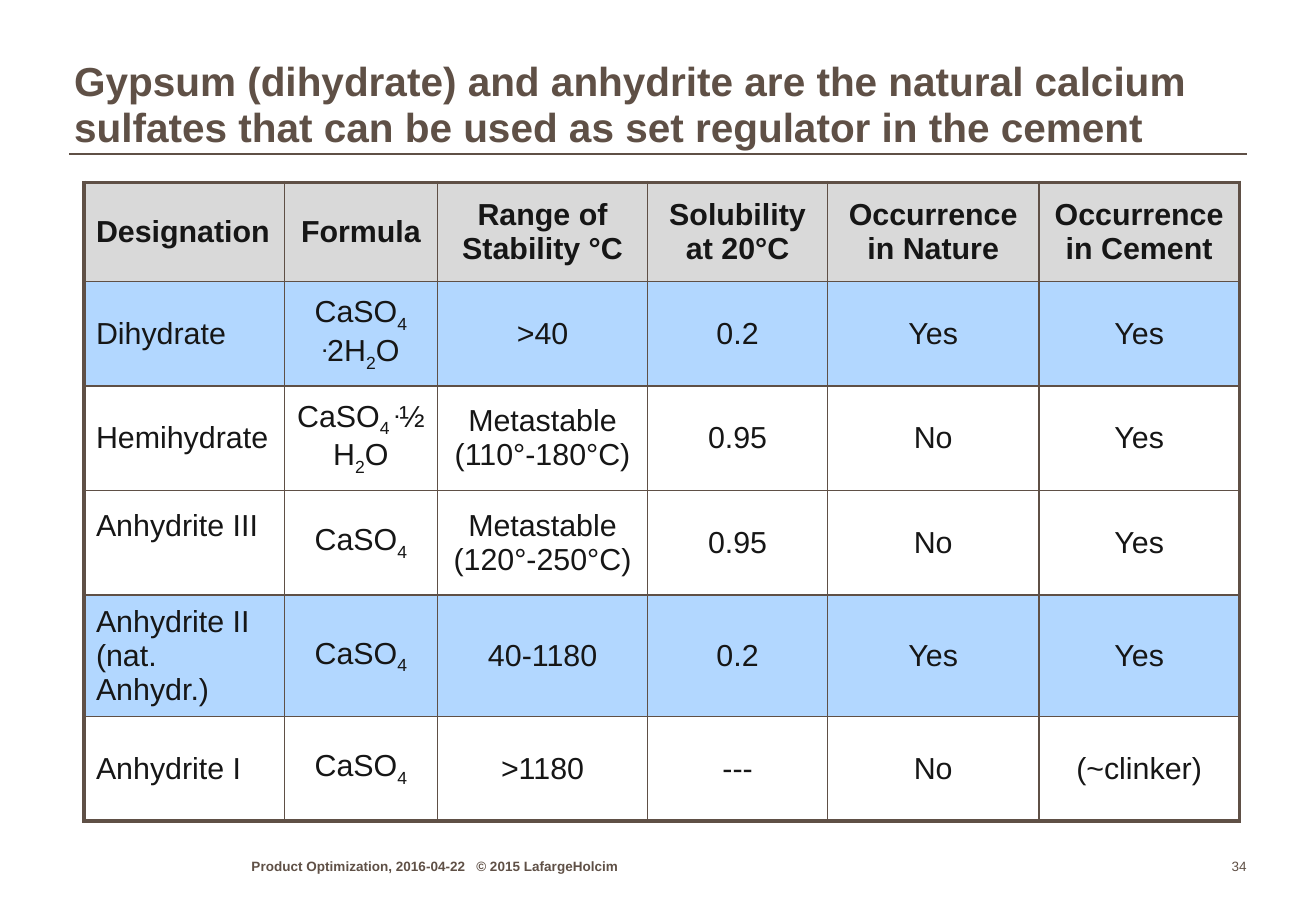
from lxml import etree
from pptx import Presentation
from pptx.dml.color import RGBColor
from pptx.enum.shapes import MSO_CONNECTOR
from pptx.enum.text import MSO_ANCHOR, PP_ALIGN
from pptx.oxml.ns import qn
from pptx.util import Inches, Pt

LEFT, MID, RIGHT = PP_ALIGN.LEFT, PP_ALIGN.CENTER, PP_ALIGN.RIGHT
BOTTOM, CENTER = MSO_ANCHOR.BOTTOM, MSO_ANCHOR.MIDDLE
STRAIGHT = MSO_CONNECTOR.STRAIGHT

BROWN, INK, GREY, BLUE = "5F5046", "161616", "D9D9D9", "B2D7FF"
THIN, THICK = 1, 2.25
SHIFT = {"_": -25000, "^": 30000}  # subscript and superscript marks

COLS = [1.65, 1.26, 1.73, 1.48, 1.74, 1.65]
ROWS = [0.82] + [0.86] * 5
FILLS = [GREY, BLUE, None, None, BLUE, None]
# "|" separates runs, "\n" breaks a line
CELLS = [
    ["Designation", "Formula", "Range of|\n|Stability °C", "Solubility at 20°C",
     "Occurrence|\n|in Nature", "Occurrence|\n|in Cement"],
    ["Dihydrate", "CaSO|_4|\n|^.|2H|_2|O", ">40", "0.2", "Yes", "Yes"],
    ["Hemihydrate", "CaSO|_4 |^.|½H|_2|O", "Metastable|\n|(110°-180°C)",
     "0.95", "No", "Yes"],
    ["Anhydrite III", "CaSO|_4", "Metastable|\n|(120°-250°C)", "0.95", "No", "Yes"],
    ["Anhydrite II|\n|(nat. Anhydr.)", "CaSO|_4", "40-1180", "0.2", "Yes", "Yes"],
    ["Anhydrite I", "CaSO|_4", ">1180", "---", "No", "(~clinker)"],
]
RAISED = (3, 0)  # the label that sits half a line above the middle


def color(code):
    return RGBColor.from_string(code)


def style(item, **values):
    for name, value in values.items():
        setattr(item, name, value)


def write(para, text, size, code, bold=False):
    for part in text.split("|"):
        if part == "\n":
            para.add_line_break()
            continue
        run = para.add_run()
        mark = part[0] if part[0] in SHIFT else ""
        run.text = part[len(mark):]
        style(run.font, name="Arial", size=Pt(size), bold=bold or mark == "^")
        run.font.color.rgb = color(code)
        if mark:
            run._r.get_or_add_rPr().set("baseline", str(SHIFT[mark]))


def label(slide, box, text, size, bold=False, align=LEFT, wrap=True):
    frame = slide.shapes.add_textbox(*map(Inches, box)).text_frame
    style(frame, margin_left=0, margin_top=0, margin_right=0, margin_bottom=0,
          word_wrap=wrap, vertical_anchor=BOTTOM)
    para = frame.paragraphs[0]
    para.alignment = align
    write(para, text, size, BROWN, bold)
    return para


def border(cell, widths):
    props = cell._tc.get_or_add_tcPr()
    for side, width in zip("LRTB", widths):
        line = etree.SubElement(props, qn(f"a:ln{side}"), w=str(Pt(width)))
        fill = etree.SubElement(line, qn("a:solidFill"))
        etree.SubElement(fill, qn("a:srgbClr"), val=BROWN)


def header(slide, box):
    left, top, width, height = box
    # Rule under the title
    rule = slide.shapes.add_connector(
        STRAIGHT, *map(Inches, (left, top + height, left + width, top + height)))
    rule.line.color.rgb = color(BROWN)
    rule.line.width = Pt(THIN)
    etree.SubElement(rule._element.spPr, qn("a:effectLst"))
    # Title
    para = label(slide, (left + 0.04, top, width - 0.09, height - 0.02),
                 "Gypsum (dihydrate) and anhydrite are the natural calcium "
                 "sulfates that can be used as set regulator in the cement", 24, True)
    para.line_spacing = 0.95


def sulfates(slide, left, top):
    box = (left, top, sum(COLS), sum(ROWS))
    table = slide.shapes.add_table(len(ROWS), len(COLS), *map(Inches, box)).table
    style(table, first_row=False, horz_banding=False)
    for col, width in zip(table.columns, COLS):
        col.width = Inches(width)
    for row, height in zip(table.rows, ROWS):
        row.height = Inches(height)
    for r, line in enumerate(CELLS):
        for c, text in enumerate(line):
            cell = table.cell(r, c)
            cell.vertical_anchor = CENTER
            if (r, c) == RAISED:
                cell.margin_bottom = Inches(0.33)
            outer = (c == 0, c == len(COLS) - 1, r == 0, r == len(ROWS) - 1)
            border(cell, [THICK if edge else THIN for edge in outer])
            if FILLS[r]:
                cell.fill.solid()
                cell.fill.fore_color.rgb = color(FILLS[r])
            else:
                cell.fill.background()
            para = cell.text_frame.paragraphs[0]
            para.alignment = MID if c else LEFT
            write(para, text, 18, INK, r == 0)


def footer(slide, box):
    left, top, width, height = box
    # Course and copyright, set apart by a tab stop
    para = label(slide, (left, top, 3.47, height),
                 "Product Optimization, 2016-04-22\t© 2015 LafargeHolcim", 8, True)
    tabs = etree.SubElement(para._p.get_or_add_pPr(), qn("a:tabLst"))
    etree.SubElement(tabs, qn("a:tab"), pos=str(Inches(1.85)), algn="l")
    # Page number
    label(slide, (left + width - 0.47, top, 0.47, height), "34", 8,
          align=RIGHT, wrap=False)


def main():
    deck = Presentation()
    style(deck, slide_width=Inches(10.83), slide_height=Inches(7.5))
    slide = deck.slides.add_slide(deck.slide_layouts[6])
    header(slide, (0.57, 0.39, 9.69, 0.88))
    sulfates(slide, 0.69, 1.5)
    footer(slide, (2.07, 7.02, 8.19, 0.18))
    deck.save("out.pptx")


if __name__ == "__main__":
    main()
